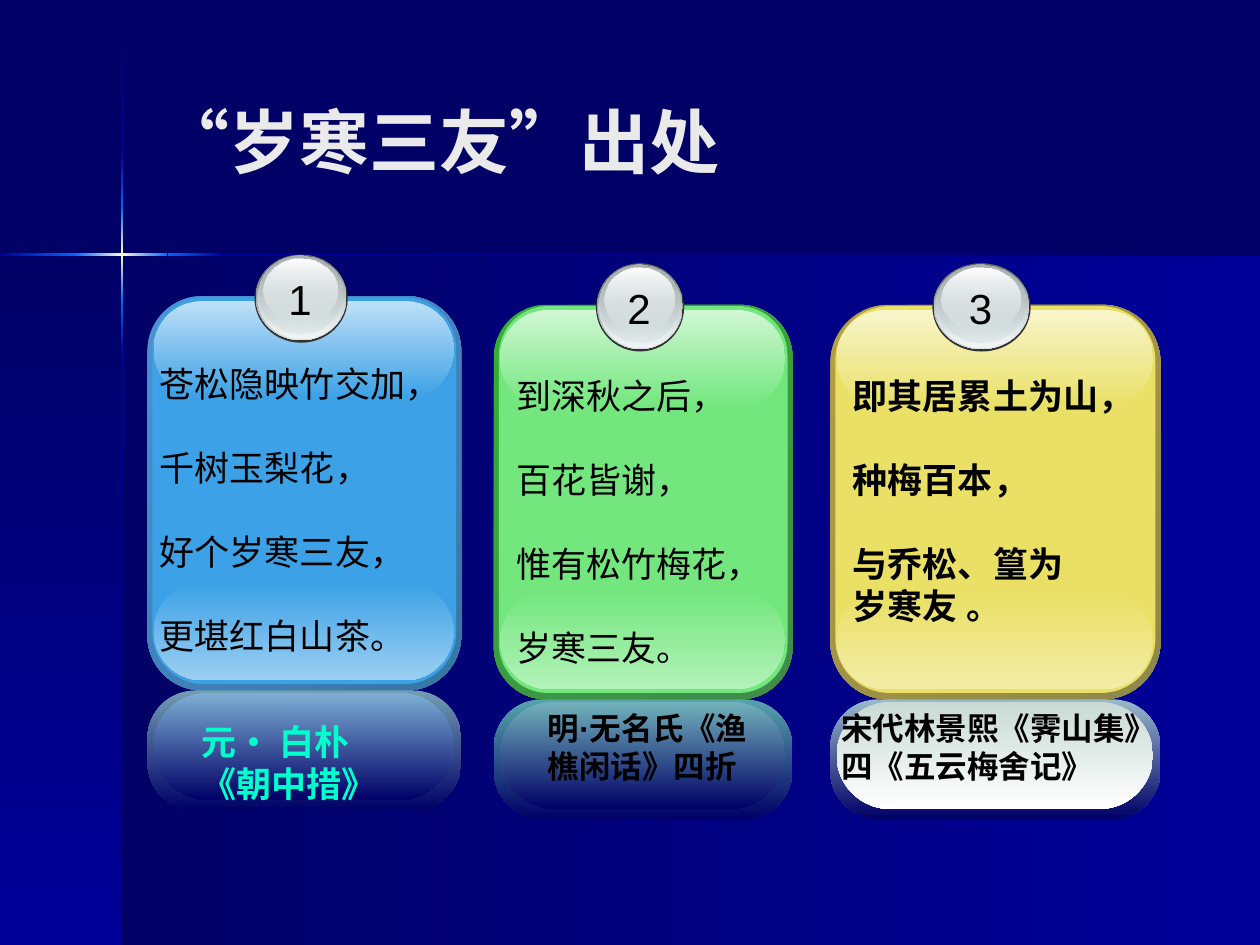
from dataclasses import dataclass

from lxml import etree
from pptx import Presentation
from pptx.dml.color import RGBColor
from pptx.enum.shapes import MSO_SHAPE
from pptx.enum.text import MSO_ANCHOR, PP_ALIGN
from pptx.oxml.ns import qn
from pptx.util import Inches, Pt

RECTANGLE = MSO_SHAPE.RECTANGLE
ROUNDED = MSO_SHAPE.ROUNDED_RECTANGLE
OVAL = MSO_SHAPE.OVAL
MIDDLE = MSO_ANCHOR.MIDDLE
CENTER = PP_ALIGN.CENTER
CJK = "Noto Sans CJK SC"
NAVY, BLUE, BRIGHT, CREAM = "000066", "000099", "0066FF", "FFFFCC"
SILVER = "D6E1E2"

STAR_LINES = [
    (0.01, 1.2, [NAVY, BLUE]),
    (1.21, 0.44, [BLUE, BRIGHT]),
    (1.65, 0.73, [BRIGHT, CREAM, BRIGHT]),
    (2.38, 0.44, [BRIGHT, BLUE]),
    (2.82, 4.68, [BLUE, NAVY]),
]
STAR_ROWS = [
    (1.77, 8.23, [BLUE, NAVY]),
    (0, 0.61, [BLUE, BRIGHT]),
    (1.33, 0.44, [BRIGHT, BLUE]),
    (0.6, 0.73, [BRIGHT, CREAM, BRIGHT]),
]
BADGE_LAYERS = [
    (0, 0, 0, 0.7, ["333333"]),
    (0.01, 0, 0.02, 0.68, ["636869", SILVER]),
    (0.02, 0.01, 0.04, 0.66, [(SILVER, 0), "F1F5F5"]),
    (0.03, 0.01, 0.07, 0.62, ["AAB2B3", (SILVER, 48)]),
    (0.07, 0.03, 0.15, 0.5, ["FFFFFF", (SILVER, 38)]),
]


@dataclass
class Card:
    """Place and colours of one numbered card."""
    left: float
    top: float
    width: float
    edge: list
    face: str
    shine: str
    glow: str
    footer: list
    footer_face: list
    badge_left: float
    badge_width: float


CARDS = [
    Card(1.17, 2.35, 2.49, ["4E91D4", "3477A4"], "3CA1E6", "BEE0F7", "9BCFF2",
         ["729EB4", NAVY], ["7DAFD4", NAVY], 2.02, 0.74),
    Card(3.92, 2.42, 2.37, ["34B034", "3F8B4A"], "73E77E", "D0F7D4", "B3F2B9",
         ["58A4AE", NAVY], ["72B2BB", NAVY], 4.73, 0.7),
    Card(6.59, 2.42, 2.62, ["B59F43", "8F8849"], "E9E065", "F8F5CC", "F2EDA6",
         ["99BACC", NAVY], ["C8DAD4", "FFFFFF"], 7.4, 0.78),
]


def color(value):
    """Turn a hex string into a colour."""
    return RGBColor.from_string(value)


def fill_gradient(shape, stops, angle):
    """Fill a shape with evenly spaced stops, each a hex or (hex, opacity)."""
    shape.fill.background()
    gradient = etree.Element(qn("a:gradFill"), rotWithShape="1")
    stop_list = etree.SubElement(gradient, qn("a:gsLst"))
    for index, stop in enumerate(stops):
        value, opacity = (stop, 100) if isinstance(stop, str) else stop
        position = str(100000 * index // (len(stops) - 1))
        node = etree.SubElement(stop_list, qn("a:gs"), pos=position)
        tint = etree.SubElement(node, qn("a:srgbClr"), val=value)
        if opacity < 100:
            etree.SubElement(tint, qn("a:alpha"), val=str(opacity * 1000))
    etree.SubElement(gradient, qn("a:lin"), ang=str(angle * 60000), scaled="0")
    properties = shape.fill._xPr
    properties.replace(properties.find(qn("a:noFill")), gradient)


def add_panel(page, kind, left, top, width, height, colors, angle=90, corner=None):
    """Add a borderless shape in one colour or a gradient."""
    shape = page.shapes.add_shape(
        kind, Inches(left), Inches(top), Inches(width), Inches(height))
    shape.shadow.inherit = False
    shape.line.fill.background()
    if corner is not None:
        shape.adjustments[0] = corner
    if len(colors) == 1:
        shape.fill.solid()
        shape.fill.fore_color.rgb = color(colors[0])
    else:
        fill_gradient(shape, colors, angle)


def set_east_asian(properties, name):
    """Name the East Asian font in a set of text properties."""
    etree.SubElement(properties, qn("a:ea"), typeface=name)


def add_text(page, left, top, width, height, lines, size, tint="000000", bold=False,
             font=CJK, asian="Lato", gaps=(), pitch=None, align=None, wrap=True):
    """Add a text box; each line is a string or a list of (text, font, asian)."""
    box = page.shapes.add_textbox(
        Inches(left), Inches(top), Inches(width), Inches(height))
    frame = box.text_frame
    frame.word_wrap = wrap
    for index, line in enumerate(lines):
        para = frame.paragraphs[0] if index == 0 else frame.add_paragraph()
        para.alignment = align
        if index in gaps:
            para.space_before = Pt(24)
        if pitch:
            para.line_spacing = Pt(pitch)
        para.font.size = Pt(size)
        para.font.bold = bold
        para.font.color.rgb = color(tint)
        spans = [(line, font, asian)] if isinstance(line, str) else line
        for text, latin, east in spans:
            span = para.add_run()
            span.text = text
            span.font.name = latin
            set_east_asian(span._r.get_or_add_rPr(), east)
    return box


def add_backdrop(page):
    """Paint the navy background with its star-shaped crossing lines."""
    page.background.fill.solid()
    page.background.fill.fore_color.rgb = color(NAVY)
    add_panel(page, RECTANGLE, 0.97, 2.02, 9.03, 5.48, [NAVY, BLUE], 0)
    add_panel(page, RECTANGLE, 0, 2.02, 0.97, 5.48, [NAVY, BLUE])
    for top, height, colors in STAR_LINES:
        add_panel(page, RECTANGLE, 0.96, top, 0.02, height, colors)
    for left, width, colors in STAR_ROWS:
        add_panel(page, RECTANGLE, left, 2.01, width, 0.02, colors, 0)


def add_badge(page, left, top, width, number):
    """Add a glossy round badge with its number."""
    for inset, drop, shrink, height, colors in BADGE_LAYERS:
        add_panel(page, OVAL, left + inset, top + drop, width - shrink, height, colors)
    add_text(page, left + width / 2 - 0.2, top + 0.1, 0.38, 0.5, [str(number)], 24,
             font="Arial", align=CENTER, wrap=False)


def add_card(page, card, number):
    """Add a glossy card with its footer and badge."""
    left, top, width = card.left, card.top, card.width
    add_panel(page, ROUNDED, left, top, width, 3.13, card.edge, 45, 0.175)
    add_panel(page, ROUNDED, left + 0.04, top + 0.01, width - 0.08, 3.07, [card.face],
              corner=0.17)
    inner = left + 0.05, width - 0.11
    for drop, height, colors in [(2.27, 0.78, [card.face, card.glow]),
                                 (0.04, 0.77, [card.shine, card.face])]:
        add_panel(page, ROUNDED, inner[0], top + drop, inner[1], height, colors,
                  corner=0.5)
    add_panel(page, ROUNDED, left, top + 3.13, width, 0.95, card.footer, corner=0.404)
    add_panel(page, ROUNDED, inner[0], top + 3.15, inner[1], 0.85, card.footer_face,
              corner=0.5)
    add_badge(page, card.badge_left, top - 0.33, card.badge_width, number)


def main():
    """Build the slide and save it."""
    deck = Presentation()
    deck.slide_width, deck.slide_height = Inches(10), Inches(7.5)
    page = deck.slides.add_slide(deck.slide_layouts[6])
    add_backdrop(page)
    title = [("“", "Arial", CJK), ("岁寒三友", "Lato", "Lato"),
             ("”", "Arial", CJK), ("出处", "Lato", "Lato")]
    box = add_text(page, 1.17, 0.33, 8.25, 1.57, [title], 40, "EAEAEA", True)
    box.text_frame.vertical_anchor = MIDDLE
    for number, card in enumerate(CARDS, 1):
        add_card(page, card, number)
    add_text(page, 1.17, 2.83, 2.5, 2.44,
             ["苍松隐映竹交加，", "千树玉梨花，", "好个岁寒三友，", "更堪红白山茶。"],
             20, gaps=(1, 2, 3))
    add_text(page, 4, 2.92, 2.25, 2.44,
             ["到深秋之后，", "百花皆谢，", "惟有松竹梅花，", "岁寒三友。"],
             20, gaps=(1, 2, 3))
    add_text(page, 6.67, 2.92, 2.49, 2.1,
             ["即其居累土为山，", "种梅百本，", "与乔松、篁为", "岁寒友 。"],
             20, bold=True, gaps=(1, 2))
    add_text(page, 1.5, 5.67, 1.92, 0.77, ["元· 白朴《朝中措》"], 20, "00FFCC", True,
             asian=CJK, pitch=24)
    source = [("明", "Lato", "Lato"), ("·", "Arial", "Arial"),
              ("无名氏《渔樵闲话》四折", "Lato", "Lato")]
    add_text(page, 4.25, 5.58, 1.92, 0.7, [source], 18, bold=True)
    add_text(page, 6.58, 5.58, 2.75, 0.7, ["宋代林景熙《霁山集》四《五云梅舍记》"],
             18, bold=True)
    deck.save("out.pptx")


if __name__ == "__main__":
    main()
